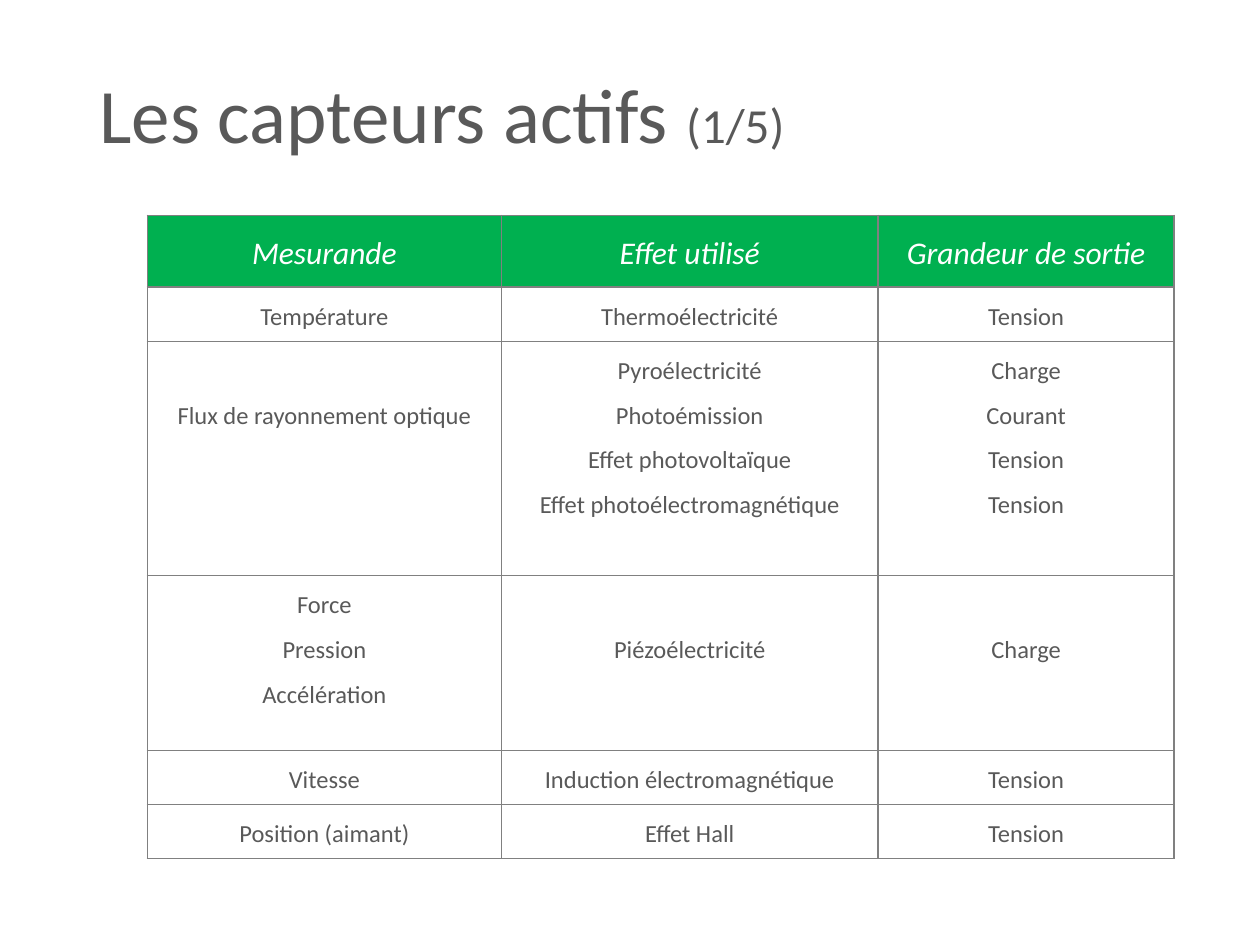
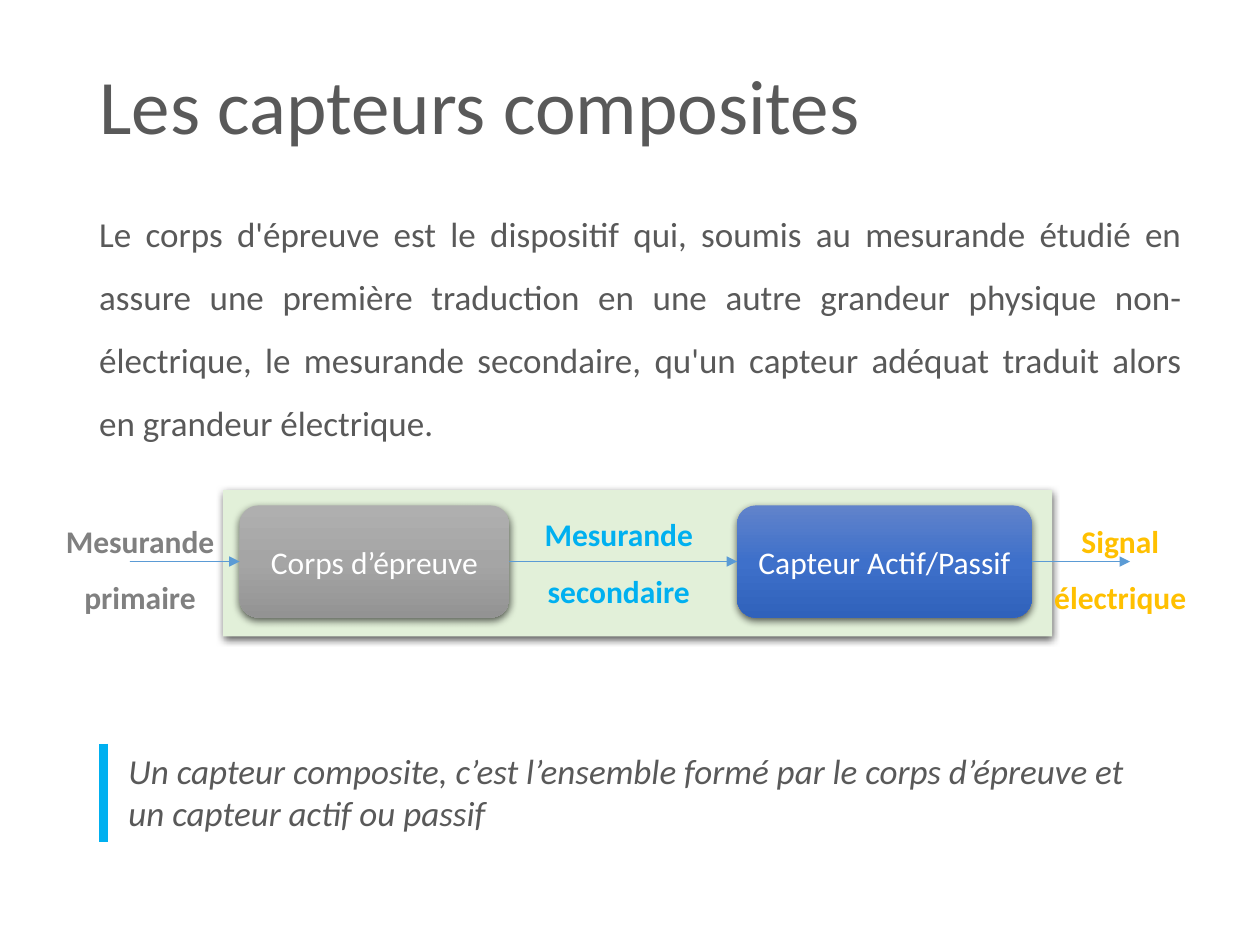
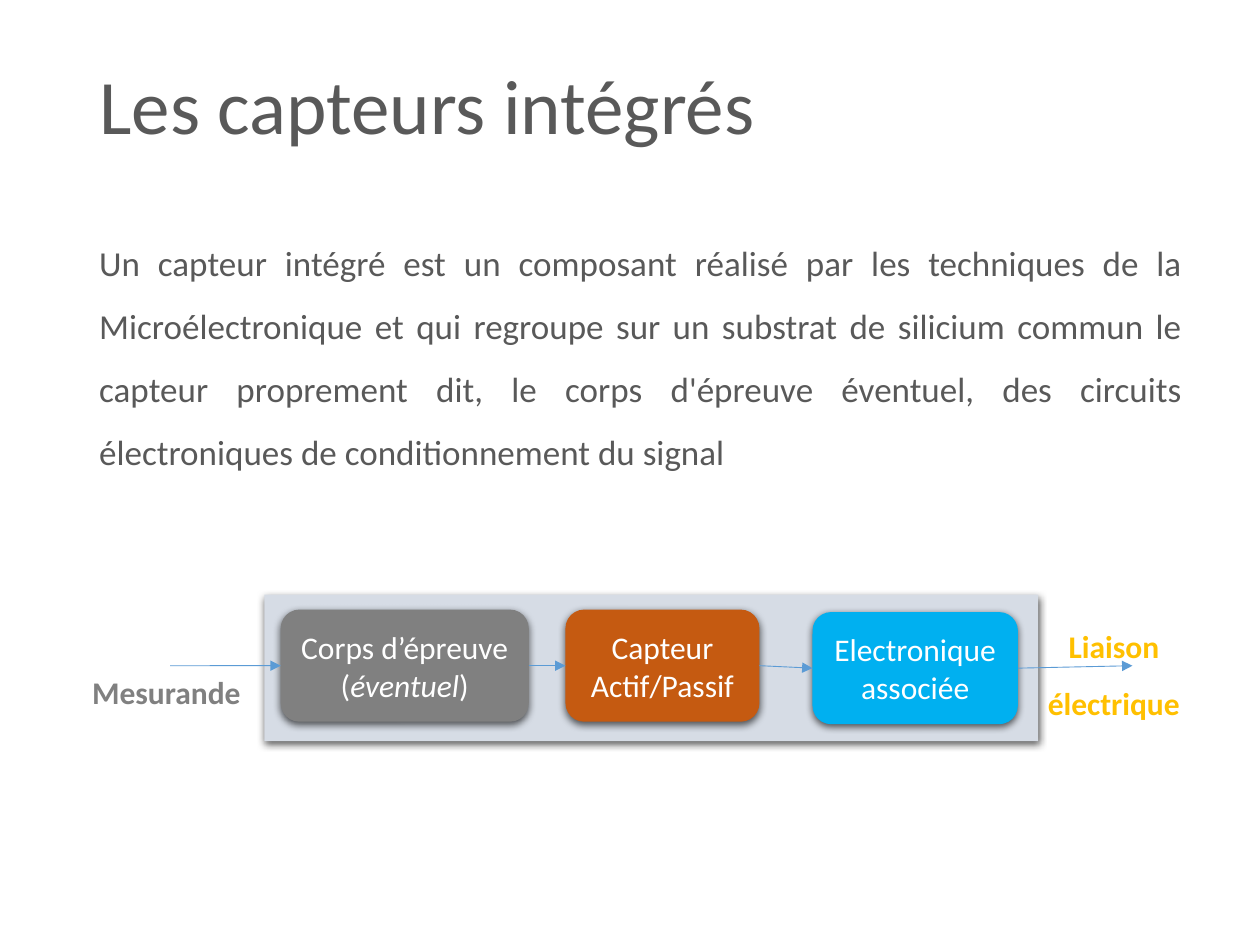
from dataclasses import dataclass

from lxml.etree import SubElement
from pptx import Presentation
from pptx.dml.color import RGBColor
from pptx.enum.shapes import MSO_CONNECTOR, MSO_SHAPE
from pptx.enum.text import MSO_ANCHOR, MSO_AUTO_SIZE, PP_ALIGN
from pptx.oxml.ns import qn
from pptx.util import Cm, Pt


@dataclass(frozen=True)
class Theme:
    font: str = "Calibri"
    text: str = "595959"
    white: str = "FFFFFF"
    gray: str = "808080"
    green: str = "00B050"
    pale_green: str = "E2F0D9"
    pale_blue: str = "D6DCE5"
    cyan: str = "00B0F0"
    gold: str = "FFC000"
    rust: str = "C55A11"
    arrow: str = "5B9BD5"
    gray_blend: tuple = ("AFAFAF", "A5A5A5", "939393")
    blue_blend: tuple = ("6183CB", "3E70CA", "3062BB")
    title_size: int = 44
    counter_size: int = 28
    body_size: int = 20
    label_size: int = 18
    cell_size: int = 14


THEME = Theme()
LABEL_WIDTH = 4.93
BLOCK_HEIGHT = 2.26
FRAME_HEIGHT = 2.95
CELL_LINE = 0.9


def lengths(values):
    return [Cm(value) for value in values]


def add_color(parent, color):
    return SubElement(parent, qn("a:srgbClr"), val=color)


class Deck:
    def __init__(self, theme):
        self.theme = theme
        self.presentation = Presentation()
        self.presentation.slide_width = Cm(25.4)
        self.presentation.slide_height = Cm(19.05)
        self.slide = None

    def fill_text(self, frame, paragraphs, size, color, align=PP_ALIGN.LEFT,
                  spacing=1.0, bold=False, italic=False):
        """Fill a frame; a paragraph is a string or a list of (text, overrides)."""
        for index, content in enumerate(paragraphs):
            paragraph = frame.paragraphs[0] if index == 0 else frame.add_paragraph()
            paragraph.alignment = align
            paragraph.line_spacing = spacing
            runs = [(content, {})] if isinstance(content, str) else content
            for text, overrides in runs:
                run = paragraph.add_run()
                run.text = text
                run.font.name = self.theme.font
                run.font.size = Pt(overrides.get("size", size))
                run.font.bold = bold
                run.font.italic = overrides.get("italic", italic)
                run.font.color.rgb = RGBColor.from_string(color)

    def new_slide(self, title, top=0.84):
        layout = self.presentation.slide_layouts[5]
        self.slide = self.presentation.slides.add_slide(layout)
        heading = self.slide.shapes.title
        heading.left, heading.top, heading.width, heading.height = lengths(
            (1.75, top, 21.9, 2.74))
        heading.text_frame.vertical_anchor = MSO_ANCHOR.MIDDLE
        heading.text_frame.auto_size = MSO_AUTO_SIZE.NONE
        self.fill_text(heading.text_frame, [title], self.theme.title_size,
                       self.theme.text, spacing=0.9)

    def text(self, box, paragraphs, size, color, **style):
        frame = self.slide.shapes.add_textbox(*lengths(box)).text_frame
        frame.word_wrap = True
        frame.auto_size = MSO_AUTO_SIZE.SHAPE_TO_FIT_TEXT
        self.fill_text(frame, paragraphs, size, color, **style)

    def body(self, top, content):
        self.text((1.75, top, 22.33, 5.26), [content], self.theme.body_size,
                  self.theme.text, align=PP_ALIGN.JUSTIFY, spacing=1.5)

    def label(self, left, top, paragraphs, color, height=2.44):
        self.text((left, top, LABEL_WIDTH, height), paragraphs,
                  self.theme.label_size, color, align=PP_ALIGN.CENTER,
                  spacing=1.5, bold=True)

    def shadowed(self, preset, box, fill):
        """Add a borderless shape; fill is a colour or a tuple of blend stops."""
        shape = self.slide.shapes.add_shape(preset, *lengths(box))
        properties = shape._element.spPr
        if isinstance(fill, str):
            shape.fill.solid()
            shape.fill.fore_color.rgb = RGBColor.from_string(fill)
        else:
            shape.fill.gradient()
            shape.fill.gradient_angle = 270
            stops = properties.find(".//" + qn("a:gsLst"))
            for stop in list(stops):
                stops.remove(stop)
            for index, color in enumerate(fill):
                position = 100000 * index // (len(fill) - 1)
                add_color(SubElement(stops, qn("a:gs"), pos=str(position)), color)
        shape.line.fill.background()
        shape.shadow.inherit = False
        shadow = SubElement(properties.find(qn("a:effectLst")), qn("a:outerShdw"),
                            blurRad=str(Pt(4.5)), dist=str(Pt(1.5)),
                            dir="5400000", algn="ctr", rotWithShape="0")
        SubElement(add_color(shadow, "000000"), qn("a:alpha"), val="63000")
        return shape

    def system_frame(self, left, top, width, fill):
        self.shadowed(MSO_SHAPE.RECTANGLE, (left, top, width, FRAME_HEIGHT), fill)

    def block(self, left, top, width, paragraphs, fill):
        shape = self.shadowed(MSO_SHAPE.ROUNDED_RECTANGLE,
                              (left, top, width, BLOCK_HEIGHT), fill)
        shape.text_frame.word_wrap = True
        shape.text_frame.vertical_anchor = MSO_ANCHOR.MIDDLE
        self.fill_text(shape.text_frame, paragraphs, self.theme.label_size,
                       self.theme.white, align=PP_ALIGN.CENTER)
        return shape

    def line(self, start, end, color, width=0.5, head=False):
        """Join two ends, each a point or a block (left by its right side, entered by its left)."""
        points = [end_point if isinstance(end_point, tuple) else (0, 0)
                  for end_point in (start, end)]
        connector = self.slide.shapes.add_connector(
            MSO_CONNECTOR.STRAIGHT, *lengths(points[0] + points[1]))
        if not isinstance(start, tuple):
            connector.begin_connect(start, 3)
        if not isinstance(end, tuple):
            connector.end_connect(end, 1)
        connector.line.color.rgb = RGBColor.from_string(color)
        connector.line.width = Pt(width)
        properties = connector._element.spPr
        if head:
            SubElement(properties.find(qn("a:ln")), qn("a:tailEnd"), type="triangle")
        SubElement(properties, qn("a:effectLst"))

    def arrow(self, start, end):
        self.line(start, end, self.theme.arrow, head=True)

    def border(self, cell, widths):
        properties = cell._tc.get_or_add_tcPr()
        for side, width in widths.items():
            edge = SubElement(properties, qn("a:ln" + side), w=str(Pt(width)))
            add_color(SubElement(edge, qn("a:solidFill")), self.theme.gray)

    def table(self, left, top, widths, heights, rows):
        """Add a table; a cell is (paragraphs, number of lines left free above)."""
        grid = self.slide.shapes.add_table(
            len(rows), len(widths),
            *lengths((left, top, sum(widths), sum(heights)))).table
        grid.first_row = grid.horz_banding = False
        for column, width in zip(grid.columns, widths):
            column.width = Cm(width)
        for index, (row, height) in enumerate(zip(rows, heights)):
            grid.rows[index].height = Cm(height)
            header = index == 0
            upper = 1 if index <= 1 else 0.5
            lower = 1 if index in (0, len(rows) - 1) else 0.5
            for cell, (paragraphs, lines_above) in zip(grid.rows[index].cells, row):
                self.border(cell, {"L": 1, "R": 1, "T": upper, "B": lower})
                cell.fill.solid()
                cell.fill.fore_color.rgb = RGBColor.from_string(
                    self.theme.green if header else self.theme.white)
                cell.margin_left = cell.margin_right = Cm(0.18)
                cell.margin_top = Cm(CELL_LINE * lines_above)
                cell.margin_bottom = 0
                self.fill_text(cell.text_frame, paragraphs,
                               self.theme.label_size if header else self.theme.cell_size,
                               self.theme.white if header else self.theme.text,
                               align=PP_ALIGN.CENTER, spacing=1.5, italic=header)


def single_lines(*texts):
    return [([text], 0) for text in texts]


def active_sensors(deck):
    deck.new_slide([("Les capteurs actifs ", {}),
                    ("(1/5)", {"size": THEME.counter_size})], top=1.02)
    deck.table(2.97, 4.34, (7.14, 7.59, 5.97), (1.45, 1.09, 4.72, 3.53, 1.09, 1.09), [
        single_lines("Mesurande", "Effet utilisé", "Grandeur de sortie"),
        single_lines("Température", "Thermoélectricité", "Tension"),
        [(["Flux de rayonnement optique"], 1),
         (["Pyroélectricité", "Photoémission", "Effet photovoltaïque",
           "Effet photoélectromagnétique"], 0),
         (["Charge", "Courant", "Tension", "Tension"], 0)],
        [(["Force", "Pression", "Accélération"], 0),
         (["Piézoélectricité"], 1), (["Charge"], 1)],
        single_lines("Vitesse", "Induction électromagnétique", "Tension"),
        single_lines("Position (aimant)", "Effet Hall", "Tension"),
    ])


def composite_sensors(deck):
    deck.new_slide("Les capteurs composites")
    block_top, axis = 10.19, 11.32
    deck.system_frame(4.5, 9.88, 16.71, THEME.pale_green)
    test_body = deck.block(4.83, block_top, 5.44, ["Corps d’épreuve"], THEME.gray_blend)
    sensor = deck.block(14.86, block_top, 5.94, ["Capteur Actif/Passif"], THEME.blue_blend)
    deck.line(test_body, sensor, THEME.arrow)
    deck.label(10.01, 9.88, ["Mesurande secondaire"], THEME.cyan)
    deck.label(0.36, 10.01, ["Mesurande primaire"], THEME.gray)
    deck.label(20.12, 10.01, ["Signal", "électrique"], THEME.gold)
    deck.arrow((2.62, axis), test_body)
    deck.arrow(sensor, (22.78, axis))
    deck.arrow((14.27, axis), sensor)
    deck.body(3.73, "Le corps d'épreuve est le dispositif qui, soumis au mesurande étudié "
                    "en assure une première traduction en une autre grandeur physique "
                    "non-électrique, le mesurande secondaire, qu'un capteur adéquat "
                    "traduit alors en grandeur électrique.")
    deck.text((2.34, 14.99, 21.03, 1.96),
              ["Un capteur composite, c’est l’ensemble formé par le corps d’épreuve "
               "et un capteur actif ou passif"],
              THEME.body_size, THEME.text, italic=True)
    deck.line((2.08, 14.99), (2.08, 16.97), THEME.cyan, width=5.25)


def integrated_sensors(deck):
    deck.new_slide("Les capteurs intégrés")
    deck.body(4.32, "Un capteur intégré est un composant réalisé par les techniques de la "
                    "Microélectronique et qui regroupe sur un substrat de silicium commun "
                    "le capteur proprement dit, le corps d'épreuve éventuel, des circuits "
                    "électroniques de conditionnement du signal")
    block_top, axis = 12.29, 13.42
    deck.system_frame(5.33, 11.99, 15.6, THEME.pale_blue)
    test_body = deck.block(5.66, block_top, 5, [[("Corps d’épreuve (", {}),
                                                 ("éventuel", {"italic": True}),
                                                 (")", {})]], THEME.gray)
    sensor = deck.block(11.4, block_top, 3.91, ["Capteur", "Actif/Passif"], THEME.rust)
    deck.label(0.89, 13.06, ["Mesurande"], THEME.gray, height=1.3)
    deck.label(19.99, 12.14, ["Liaison", "électrique"], THEME.gold)
    electronics = deck.block(16.38, 12.34, 4.14, ["Electronique associée"], THEME.cyan)
    deck.arrow((3.43, axis), test_body)
    deck.arrow(sensor, electronics)
    deck.arrow(electronics, (22.83, axis))
    deck.arrow(test_body, sensor)


def main():
    deck = Deck(THEME)
    active_sensors(deck)
    composite_sensors(deck)
    integrated_sensors(deck)
    deck.presentation.save("out.pptx")


if __name__ == "__main__":
    main()
